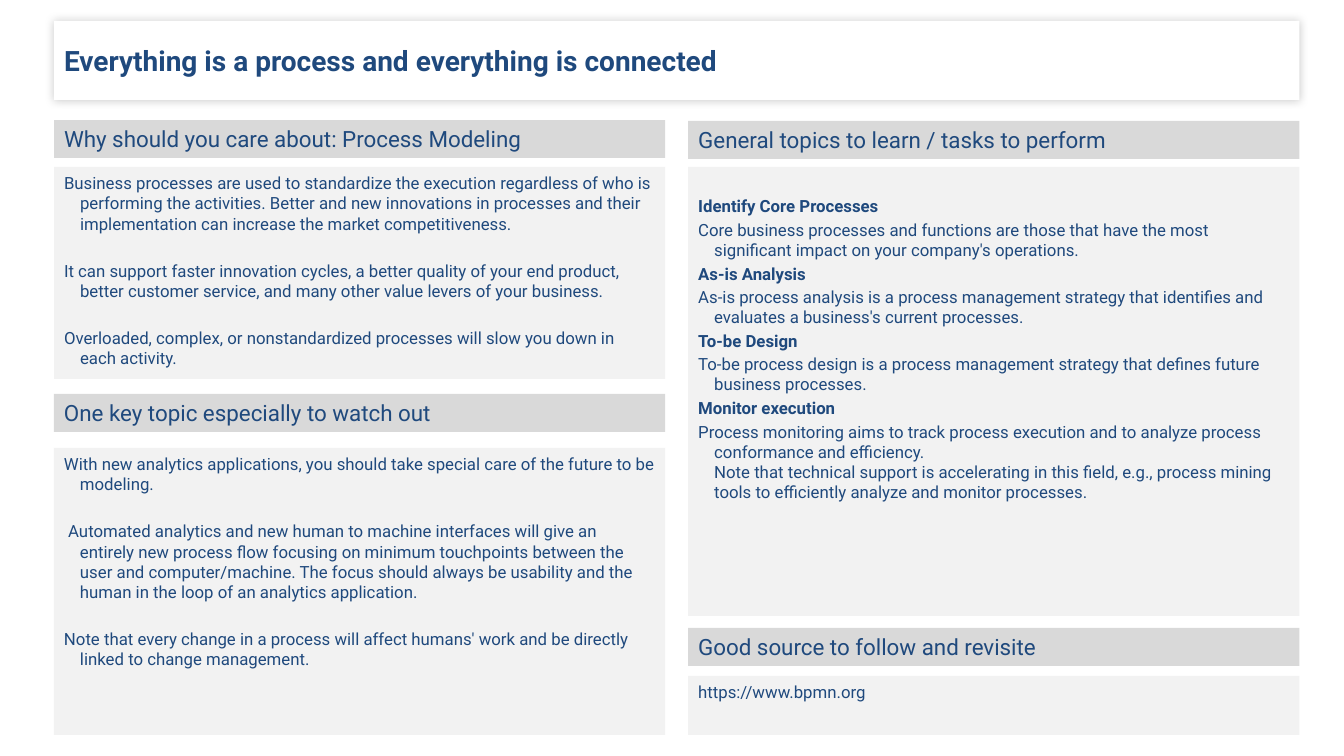
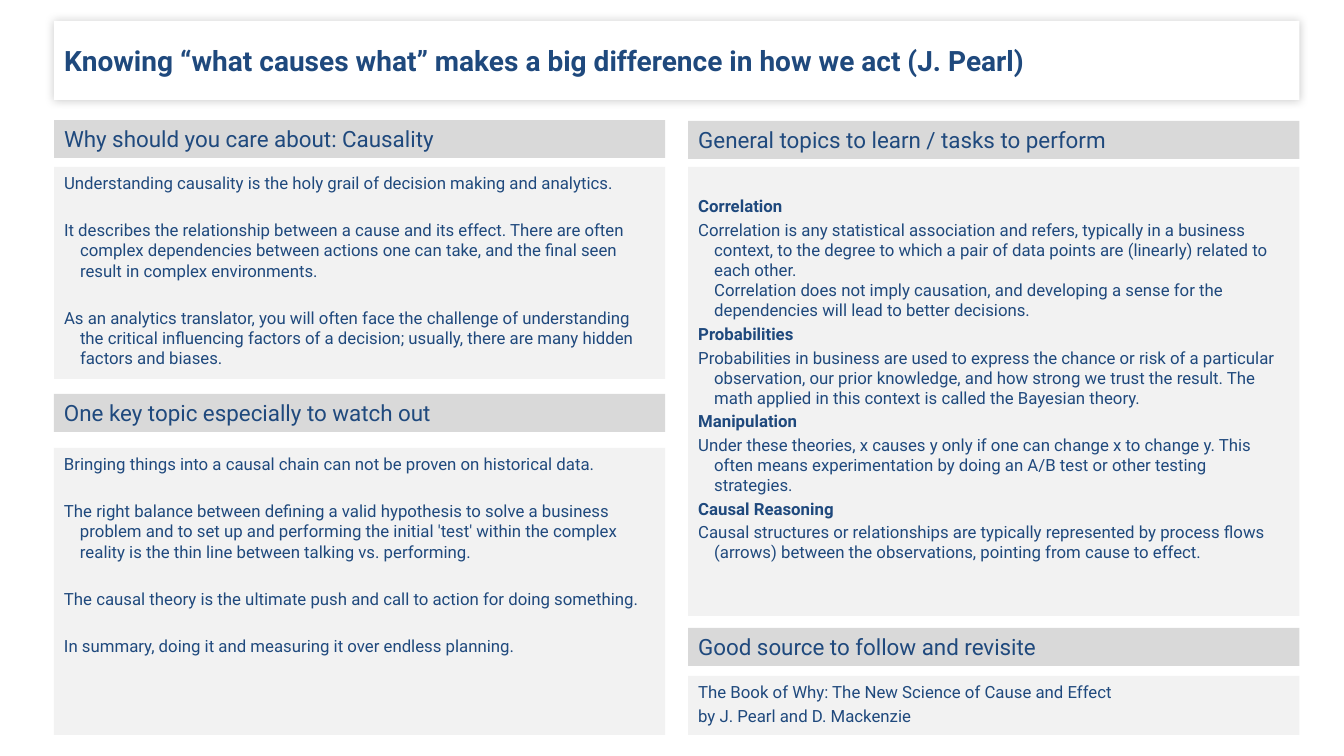
"""Build two topic slides, each with a title and four headed panels."""
import copy

from pptx import Presentation
from pptx import util as u
from pptx.dml.color import RGBColor
from pptx.enum import shapes, text
from pptx.oxml import parse_xml
from pptx.oxml.ns import nsdecls, qn

COLORS = {"ink": "1F497D", "band": "D9D9D9", "panel": "F2F2F2", "title": "FFFFFF", "shadow": "000000"}
SCALE = 914400 / 100.8
LEFT, RIGHT, COLUMN, BAND = 54, 688, 611, 38
TIGHT, LOOSE = 2.4, 19.2


def px(length):
    """Turn pixels into EMU."""
    return u.Emu(round(length * SCALE))


def write(paragraph, words, size=12, bold=False, gap=0, hang=0):
    """Fill a paragraph and format its runs and line breaks."""
    paragraph.text = words
    paragraph.alignment = text.PP_ALIGN.LEFT
    paragraph.space_before = u.Pt(gap)
    props = paragraph._p.get_or_add_pPr()
    props.set("marL", str(px(hang)))
    props.set("indent", str(-px(hang)))
    props.append(parse_xml(f"<a:buNone {nsdecls('a')}/>"))
    for run in paragraph.runs:
        run.font.name = "Roboto"
        run.font.size = u.Pt(size)
        run.font.bold = bold
        run.font.color.rgb = RGBColor.from_string(COLORS["ink"])
    for line_break in paragraph._p.findall(qn("a:br")):
        line_break.append(copy.deepcopy(paragraph.runs[0]._r.rPr))


class Deck:
    """Hold the shared style and the current slide."""

    def __init__(self):
        """Open a widescreen presentation."""
        self.prs = Presentation()
        self.prs.slide_width, self.prs.slide_height = u.Inches(13.33), u.Inches(7.5)
        self.slide = None

    def box(self, place, color, slot=None, middle=False, top=6):
        """Place a filled box, in a template placeholder if a slot is given."""
        x, y, width, height = map(px, place)
        if slot is None:
            area = self.slide.shapes.add_shape(shapes.MSO_SHAPE.RECTANGLE, x, y, width, height)
            area.shadow.inherit = False
        else:
            area = self.slide.placeholders[slot]
            area.left, area.top, area.width, area.height = x, y, width, height
        area.fill.solid()
        area.fill.fore_color.rgb = RGBColor.from_string(COLORS[color])
        area.line.fill.background()
        frame = area.text_frame
        frame.word_wrap = True
        frame.auto_size = text.MSO_AUTO_SIZE.NONE
        frame.vertical_anchor = text.MSO_ANCHOR.MIDDLE if middle else text.MSO_ANCHOR.TOP
        frame.margin_left = frame.margin_right = px(10)
        frame.margin_top, frame.margin_bottom = px(top), px(5)
        return area

    def title(self, words):
        """Start a slide with its shadowed title."""
        self.slide = self.prs.slides.add_slide(self.prs.slide_layouts.get_by_name("Comparison"))
        banner = self.box((LEFT, 21, 1245, 79), "title", slot=0, middle=True, top=5)
        write(banner.text_frame.paragraphs[0], words, size=20, bold=True)
        banner._element.spPr.append(parse_xml(
            f'<a:effectLst {nsdecls("a")}><a:outerShdw blurRad="{u.Pt(6)}" dist="0" dir="18900000">'
            f'<a:srgbClr val="{COLORS["shadow"]}"><a:alpha val="20000"/></a:srgbClr>'
            '</a:outerShdw></a:effectLst>'))

    def heading(self, words, x, y, slot=None):
        """Add a grey heading band."""
        band = self.box((x, y, COLUMN, BAND), "band", slot, middle=True, top=5)
        write(band.text_frame.paragraphs[0], words, size=16)

    def panel(self, entries, x, y, height, slot=None, gap=TIGHT, top=6, terms=False):
        """Add a panel of hanging paragraphs, with every other one bold for terms."""
        frame = self.box((x, y, COLUMN, height), "panel", slot, top=top).text_frame
        for number, entry in enumerate(entries):
            paragraph = frame.add_paragraph() if number else frame.paragraphs[0]
            write(paragraph, entry, bold=terms and number % 2 == 0, gap=gap if number else 0, hang=16)

    def topic(self, title, subject, reasons, caution, tasks, source):
        """Build one complete topic slide."""
        self.title(title)
        self.heading(f"Why should you care about: {subject}", LEFT, 120, slot=1)
        self.panel(reasons, LEFT, 167, 212, slot=2, gap=LOOSE)
        self.heading("General topics to learn / tasks to perform", RIGHT, 121, slot=3)
        self.panel(tasks, RIGHT, 167, 449, slot=4, top=29, terms=True)
        self.heading("One key topic especially to watch out", LEFT, 394)
        self.panel(caution, LEFT, 448, 287, gap=LOOSE)
        self.heading("Good source to follow and revisite", RIGHT, 628)
        self.panel(source, RIGHT, 676, 59)


deck = Deck()
deck.topic(
    title="Everything is a process and everything is connected",
    subject="Process Modeling",
    reasons=[
        "Business processes are used to standardize the execution regardless of who is performing the "
        "activities. Better and new innovations in processes and their implementation can increase the "
        "market competitiveness.",
        "It can support faster innovation cycles, a better quality of your end product, better customer "
        "service, and many other value levers of your business.",
        "Overloaded, complex, or nonstandardized processes will slow you down in each activity.",
    ],
    caution=[
        "With new analytics applications, you should take special care of the future to be modeling.",
        " Automated analytics and new human to machine interfaces will give an entirely new process flow "
        "focusing on minimum touchpoints between the user and computer/machine. The focus should always be "
        "usability and the human in the loop of an analytics application.",
        "Note that every change in a process will affect humans' work and be directly linked to change "
        "management.",
    ],
    tasks=[
        "Identify Core Processes",
        "Core business processes and functions are those that have the most significant impact on your "
        "company's operations.",
        "As-is Analysis",
        "As-is process analysis is a process management strategy that identifies and evaluates a business's "
        "current processes.",
        "To-be Design",
        "To-be process design is a process management strategy that defines future business processes.",
        "Monitor execution",
        "Process monitoring aims to track process execution and to analyze process conformance and "
        "efficiency.\vNote that technical support is accelerating in this field, e.g., process mining tools "
        "to efficiently analyze and monitor processes.",
    ],
    source=["https://www.bpmn.org"],
)
deck.topic(
    title="Knowing “what causes what” makes a big difference in how we act (J. Pearl)",
    subject="Causality",
    reasons=[
        "Understanding causality is the holy grail of decision making and analytics.",
        "It describes the relationship between a cause and its effect. There are often complex dependencies "
        "between actions one can take, and the final seen result in complex environments.",
        "As an analytics translator, you will often face the challenge of understanding the critical "
        "influencing factors of a decision; usually, there are many hidden factors and biases.",
    ],
    caution=[
        "Bringing things into a causal chain can not be proven on historical data.",
        "The right balance between defining a valid hypothesis to solve a business problem and to set up and "
        "performing the initial 'test' within the complex reality is the thin line between talking vs. "
        "performing.",
        "The causal theory is the ultimate push and call to action for doing something.",
        "In summary, doing it and measuring it over endless planning.",
    ],
    tasks=[
        "Correlation",
        "Correlation is any statistical association and refers, typically in a business context, to the "
        "degree to which a pair of data points are (linearly) related to each other.\vCorrelation does not "
        "imply causation, and developing a sense for the dependencies will lead to better decisions.",
        "Probabilities",
        "Probabilities in business are used to express the chance or risk of a particular observation, our "
        "prior knowledge, and how strong we trust the result. The math applied in this context is called "
        "the Bayesian theory.",
        "Manipulation",
        "Under these theories, x causes y only if one can change x to change y. This often means "
        "experimentation by doing an A/B test or other testing strategies.",
        "Causal Reasoning",
        "Causal structures or relationships are typically represented by process flows (arrows) between the "
        "observations, pointing from cause to effect.",
    ],
    source=["The Book of Why: The New Science of Cause and Effect", "by J. Pearl and D. Mackenzie"],
)
deck.prs.save("out.pptx")
